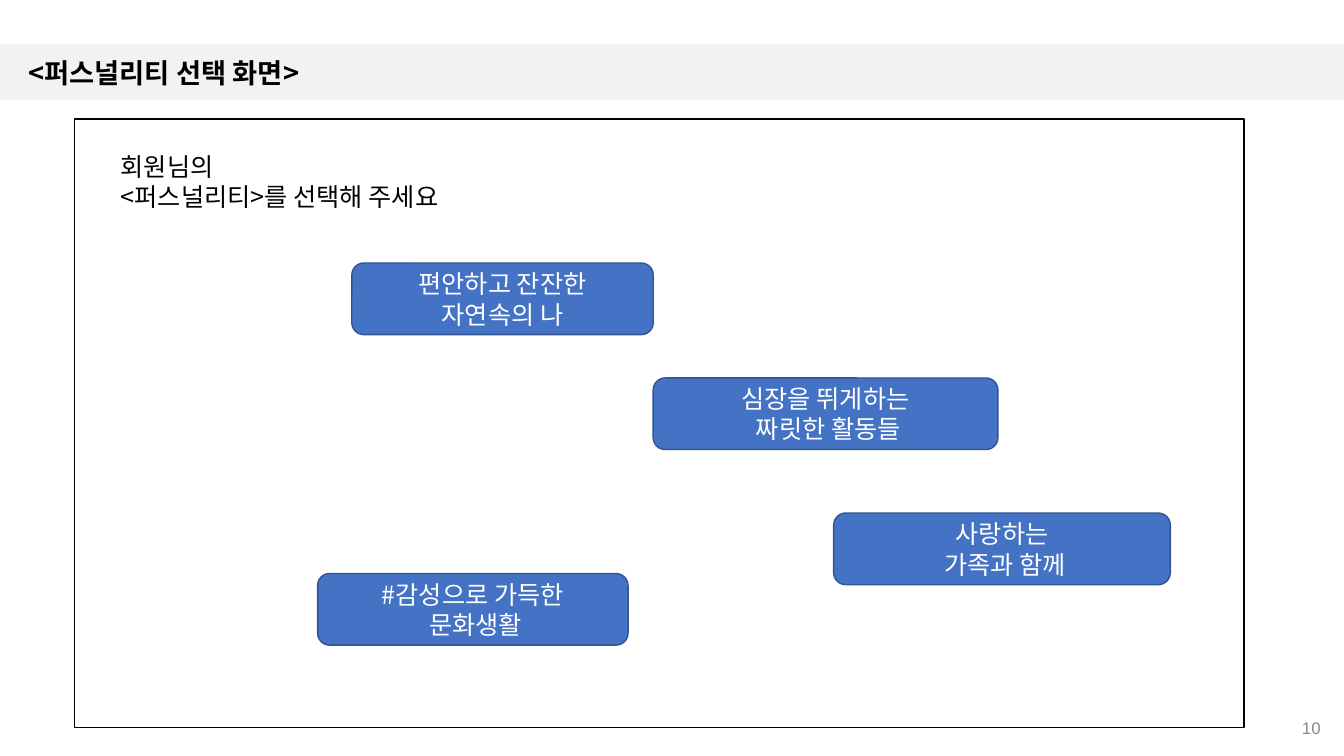
import pptx
import pptx.util
import pptx.dml.color
import pptx.enum.shapes
import pptx.enum.text
import pptx.oxml.ns
import lxml.etree

SHAPES = pptx.enum.shapes.MSO_SHAPE
ALIGN = pptx.enum.text.PP_ALIGN
ANCHOR = pptx.enum.text.MSO_ANCHOR
KOREAN = "Noto Sans CJK KR"

presentation = pptx.Presentation()
presentation.slide_width = pptx.util.Inches(13.33)
presentation.slide_height = pptx.util.Inches(7.5)
slide = presentation.slides.add_slide(presentation.slide_layouts[6])

# Grid of 100 columns by 100 rows
column = presentation.slide_width / 100
row = presentation.slide_height / 100


def color(hex_string):
    return pptx.dml.color.RGBColor.from_string(hex_string)


def add_item(place, lines=(), preset=None, fill=None, line=None, ink="000000",
             align=ALIGN.LEFT, anchor=ANCHOR.MIDDLE, spacing=None, **font_format):
    """Add a preset shape, or a text box when no preset is given."""
    left, top, width, height = place
    box = [round(left * column), round(top * row), round(width * column), round(height * row)]
    if preset is None:
        shape = slide.shapes.add_textbox(*box)
    else:
        shape = slide.shapes.add_shape(preset, *box)
        shape.shadow.inherit = False
        shape.fill.solid()
        shape.fill.fore_color.rgb = color(fill)
        if line:
            shape.line.color.rgb = color(line)
            shape.line.width = pptx.util.Pt(1)
        else:
            shape.line.fill.background()
    frame = shape.text_frame
    frame.word_wrap = True
    frame.vertical_anchor = anchor
    font_values = {"name": KOREAN, "size": pptx.util.Pt(18), **font_format}
    for index, text in enumerate(lines):
        paragraph = frame.add_paragraph() if index else frame.paragraphs[0]
        paragraph.alignment = align
        paragraph.line_spacing = spacing
        run = paragraph.add_run()
        run.text = text
        for name, value in font_values.items():
            setattr(run.font, name, value)
        run.font.color.rgb = color(ink)
        # Korean glyphs take the East Asian typeface
        east_asian = lxml.etree.SubElement(run.font._element, pptx.oxml.ns.qn("a:ea"))
        east_asian.set("typeface", font_values["name"])


# Title band, title and page number
add_item((0, 5.87, 100, 7.33), preset=SHAPES.RECTANGLE, fill="F2F2F2")
add_item((1.35, 6.13, 94.5, 7.47), ["<퍼스널리티 선택 화면>"], spacing=0.9,
         size=pptx.util.Pt(19.5), bold=True)
add_item((76.5, 93.6, 22.5, 5.33), ["10"], ink="898989", align=ALIGN.RIGHT,
         name="Arial", size=pptx.util.Pt(12))

# Screen frame and prompt
add_item((5.55, 15.73, 87, 80.53), preset=SHAPES.RECTANGLE, fill="FFFFFF", line="000000")
add_item((8.25, 19.33, 33.98, 9.47), ["회원님의", "<퍼스널리티>를 선택해 주세요"],
         anchor=ANCHOR.TOP)

# Personality buttons: left, top, width, lines
button_height = 9.47
buttons = [
    (26.18, 34.8, 22.43, ["편안하고 잔잔한", "자연속의 나"]),
    (62.03, 67.87, 25.05, ["사랑하는", " 가족과 함께"]),
    (23.63, 75.87, 23.1, ["#감성으로 가득한", " 문화생활"]),
    (48.6, 50, 25.65, ["심장을 뛰게하는", " 짜릿한 활동들"]),
]
for left, top, width, lines in buttons:
    add_item((left, top, width, button_height), lines, preset=SHAPES.ROUNDED_RECTANGLE,
             fill="4472C4", line="325491", ink="FFFFFF", align=ALIGN.CENTER)

presentation.save("out.pptx")
